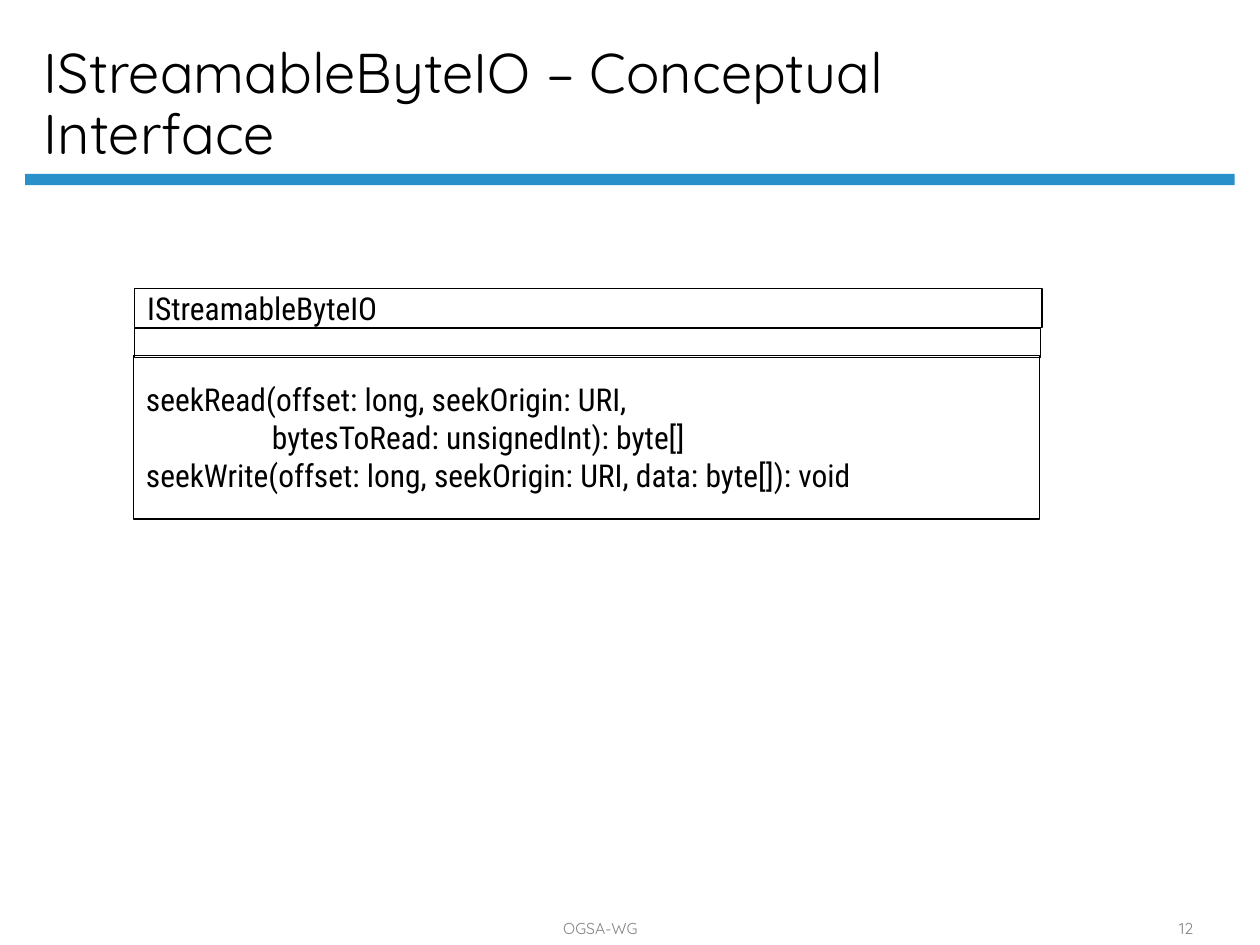
from pptx import Presentation
from pptx.dml.color import RGBColor
from pptx.enum.shapes import MSO_SHAPE
from pptx.enum.text import MSO_ANCHOR, PP_ALIGN
from pptx.util import Inches, Pt

BLACK = RGBColor(0x00, 0x00, 0x00)
BLUE = RGBColor(0x29, 0x90, 0xCA)
GRAY = RGBColor(0x84, 0x85, 0x89)
HEADING_FONT = "Quicksand"
BODY_FONT = "Roboto Condensed"

TITLE = "IStreamableByteIO – Conceptual Interface"
COMPARTMENTS = [
    ((1.07, 2.29, 7.2, 0.31), [("IStreamableByteIO", 0)]),
    ((1.07, 2.61, 7.19, 0.23), []),
    ((1.06, 2.82, 7.19, 1.3), [
        ("seekRead(offset: long, seekOrigin: URI,", 0),
        ("bytesToRead: unsignedInt): byte[]", 1),
        ("seekWrite(offset: long, seekOrigin: URI, data: byte[]): void", 0),
    ]),
]
FOOTERS = [
    ((2.33, 7.25, 4.87, 0.24), "OGSA-WG"),
    ((9, 7.25, 0.83, 0.24), "12"),
]


def set_text(sp, lines, anchor, font, size, color, align=PP_ALIGN.LEFT, spacing=1.0):
    tf = sp.text_frame
    tf.word_wrap = True
    tf.vertical_anchor = anchor
    for i, (text, indent) in enumerate(lines):
        p = tf.add_paragraph() if i else tf.paragraphs[0]
        p.text = text
        p.alignment = align
        p.line_spacing = spacing
        if indent:
            p._p.get_or_add_pPr().set("marL", str(Inches(indent)))
        p.font.name = font
        p.font.size = Pt(size)
        p.font.color.rgb = color


def add_rect(s, box):
    sp = s.shapes.add_shape(MSO_SHAPE.RECTANGLE, *map(Inches, box))
    sp.shadow.inherit = False
    return sp


def add_text(s, box, text, *style, **options):
    sp = s.shapes.add_textbox(*map(Inches, box))
    set_text(sp, [(text, 0)], MSO_ANCHOR.BOTTOM, HEADING_FONT, *style, **options)


def main():
    prs = Presentation()
    prs.slide_width, prs.slide_height = Inches(10), Inches(7.5)
    s = prs.slides.add_slide(prs.slide_layouts[6])

    rule = add_rect(s, (0.2, 1.38, 9.6, 0.09))
    rule.fill.solid()
    rule.fill.fore_color.rgb = BLUE
    rule.line.fill.background()
    add_text(s, (0.25, 0.12, 8.56, 1.25), TITLE, 32, BLACK, spacing=0.9)

    for box, lines in COMPARTMENTS:
        sp = add_rect(s, box)
        sp.fill.background()
        sp.line.color.rgb = BLACK
        sp.line.width = Pt(0.75)
        set_text(sp, lines, MSO_ANCHOR.MIDDLE, BODY_FONT, 18, BLACK)

    for box, text in FOOTERS:
        add_text(s, box, text, 9, GRAY, align=PP_ALIGN.CENTER)

    prs.save("out.pptx")


if __name__ == "__main__":
    main()
